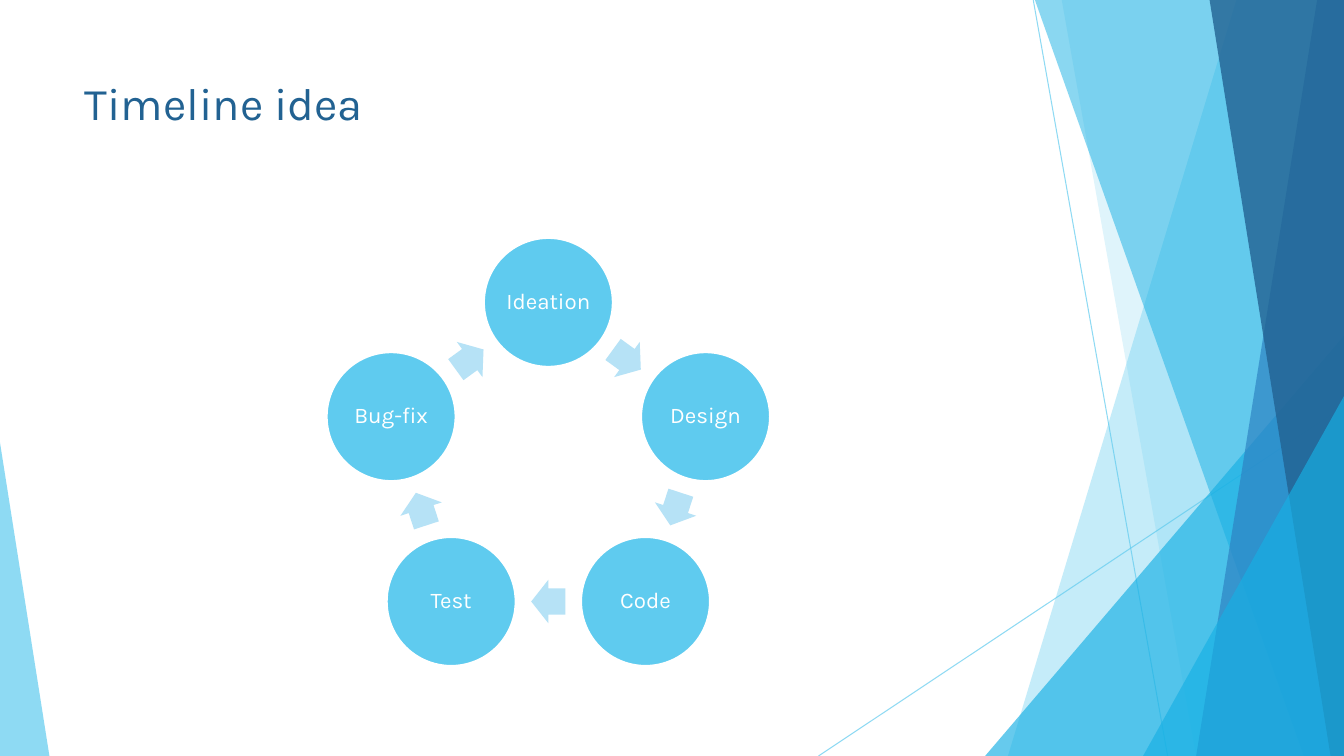
"""Build the timeline idea slide: a five-step cycle beside overlapping blue bands."""
import math
import pptx
import pptx.dml.color
import pptx.enum.shapes
import pptx.enum.text
import pptx.oxml.ns
import pptx.util
import lxml.etree

COLOURS = {"sky": "5FCBEF", "cyan": "17B0E4", "blue": "2E83C3",
           "navy": "226292", "pale": "B6E2F6", "white": "FFFFFF"}
FONT = "Karla"
SHAPES = pptx.enum.shapes.MSO_SHAPE
MIDDLE = pptx.enum.text.MSO_ANCHOR.MIDDLE

presentation = pptx.Presentation()
presentation.slide_width = pptx.util.Inches(13.333)
presentation.slide_height = pptx.util.Inches(7.5)
column = presentation.slide_width / 100
row = presentation.slide_height / 100
slide = presentation.slides.add_slide(presentation.slide_layouts[5])


def paint(paint_format, colour, opacity=100):
    """Give a fill or line a solid colour with an opacity in percent."""
    solid = paint_format if hasattr(paint_format, "solid") else paint_format.fill
    solid.solid()
    solid.fore_color.rgb = pptx.dml.color.RGBColor.from_string(COLOURS[colour])
    if opacity < 100:
        element = solid._xPr.find(".//" + pptx.oxml.ns.qn("a:srgbClr"))
        alpha = lxml.etree.SubElement(element, pptx.oxml.ns.qn("a:alpha"))
        alpha.set("val", str(opacity * 1000))


def add_preset(preset, left, top, width, height, colour, opacity=100):
    """Add a flat preset shape, with its place and size in EMU."""
    shape = slide.shapes.add_shape(preset, round(left), round(top), round(width), round(height))
    shape.shadow.inherit = False
    shape.line.fill.background()
    paint(shape.fill, colour, opacity)
    return shape


for start_x, start_y, end_x in [(76.88, 0, 86.88), (100, 53.73, 60.9)]:
    connector = slide.shapes.add_connector(
        pptx.enum.shapes.MSO_CONNECTOR.STRAIGHT, round(start_x * column),
        round(start_y * row), round(end_x * column), round(100 * row))
    connector.line.width = pptx.util.Pt(0.75)
    paint(connector.line, "sky", 70)
    lxml.etree.SubElement(connector._element.spPr, pptx.oxml.ns.qn("a:effectLst"))

bands = [
    ("band", 92.1, 75.3, "sky", 36),
    ("band", 78.75, 88.73, "sky", 20),
    ("corner", 73.3, 44.4, "cyan", 66),
    ("band", 76.58, 96.83, "cyan", 50),
    ("band", 97.73, 89.4, "blue", 70),
    ("band", 89.7, 98.85, "navy", 80),
    ("corner", 85.05, 52.4, "cyan", 66),
]
for kind, first, second, colour, opacity in bands:
    if kind == "corner":
        triangle = add_preset(SHAPES.ISOSCELES_TRIANGLE, first * column, second * row,
                              (100 - first) * column, (100 - second) * row, colour, opacity)
        triangle.adjustments[0] = 1
    else:
        builder = slide.shapes.build_freeform(first, 0, scale=(column, row))
        builder.add_line_segments([(100, 0), (100, 100), (second, 100)], close=True)
        band = builder.convert_to_shape()
        band.shadow.inherit = False
        band.line.fill.background()
        paint(band.fill, colour, opacity)

left_triangle = add_preset(SHAPES.ISOSCELES_TRIANGLE, 0, 58.53 * row,
                           3.68 * column, 41.47 * row, "sky", 70)
left_triangle.adjustments[0] = 0

title = slide.shapes.title
title.left, title.top = round(5.55 * column), round(8.93 * row)
title.width, title.height = round(70.5 * column), round(9.2 * row)
title.text_frame.text = "Timeline idea"
title.text_frame.vertical_anchor = MIDDLE
title_paragraph = title.text_frame.paragraphs[0]
title_paragraph.alignment = pptx.enum.text.PP_ALIGN.LEFT
title_font = title_paragraph.runs[0].font
title_font.name, title_font.size = FONT, pptx.util.Pt(32.4)
paint(title_font.fill, "navy")

steps = ["Ideation", "Design", "Code", "Test", "Bug-fix"]
turn = 360 / len(steps)
center_x, center_y = 40.8 * column, 61.87 * row
ring_radius = 12.3 * column
arrow_radius = ring_radius * math.cos(math.radians(turn / 2))
diameter = 9.6 * column
arrow_width, arrow_height = 2.55 * column, 5.75 * row

for index, step in enumerate(steps):
    angle = math.radians(index * turn)
    circle = add_preset(SHAPES.OVAL,
                        center_x + ring_radius * math.sin(angle) - diameter / 2,
                        center_y - ring_radius * math.cos(angle) - diameter / 2,
                        diameter, diameter, "sky")
    paint(circle.line, "white")
    circle.line.width = pptx.util.Pt(1.5)
    frame = circle.text_frame
    frame.text = step
    frame.word_wrap = True
    frame.vertical_anchor = MIDDLE
    frame.margin_left = frame.margin_right = pptx.util.Inches(0.02)
    frame.margin_top = frame.margin_bottom = pptx.util.Inches(0.02)
    paragraph = frame.paragraphs[0]
    paragraph.alignment = pptx.enum.text.PP_ALIGN.CENTER
    paragraph.line_spacing = 0.9
    font = paragraph.runs[0].font
    font.name, font.size = FONT, pptx.util.Pt(16)
    paint(font.fill, "white")

    heading = (index + 0.5) * turn
    angle = math.radians(heading)
    arrow = add_preset(SHAPES.RIGHT_ARROW,
                       center_x + arrow_radius * math.sin(angle) - arrow_width / 2,
                       center_y - arrow_radius * math.cos(angle) - arrow_height / 2,
                       arrow_width, arrow_height, "pale")
    arrow.rotation = heading
    arrow.adjustments[0], arrow.adjustments[1] = 0.6, 0.5

presentation.save("out.pptx")
